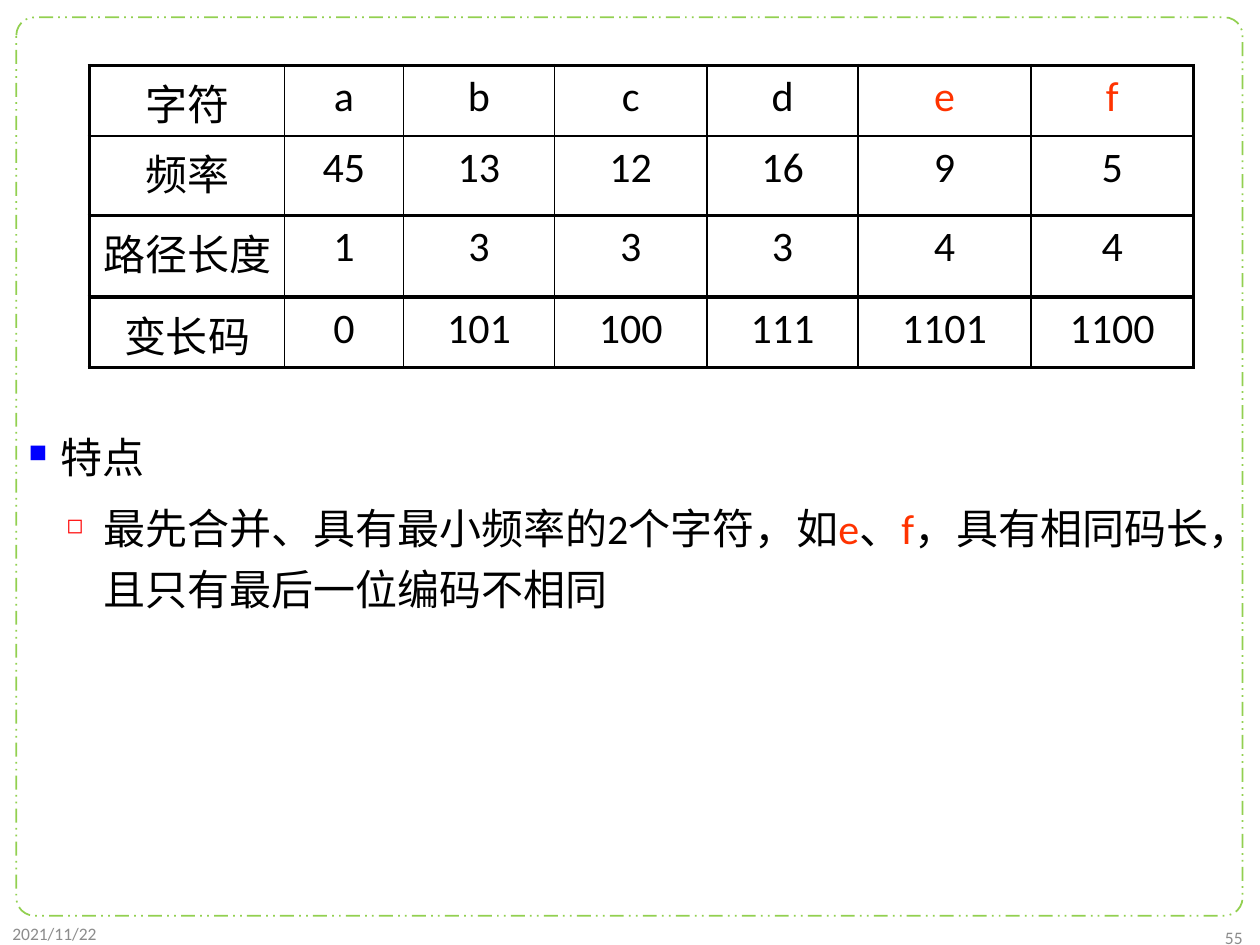
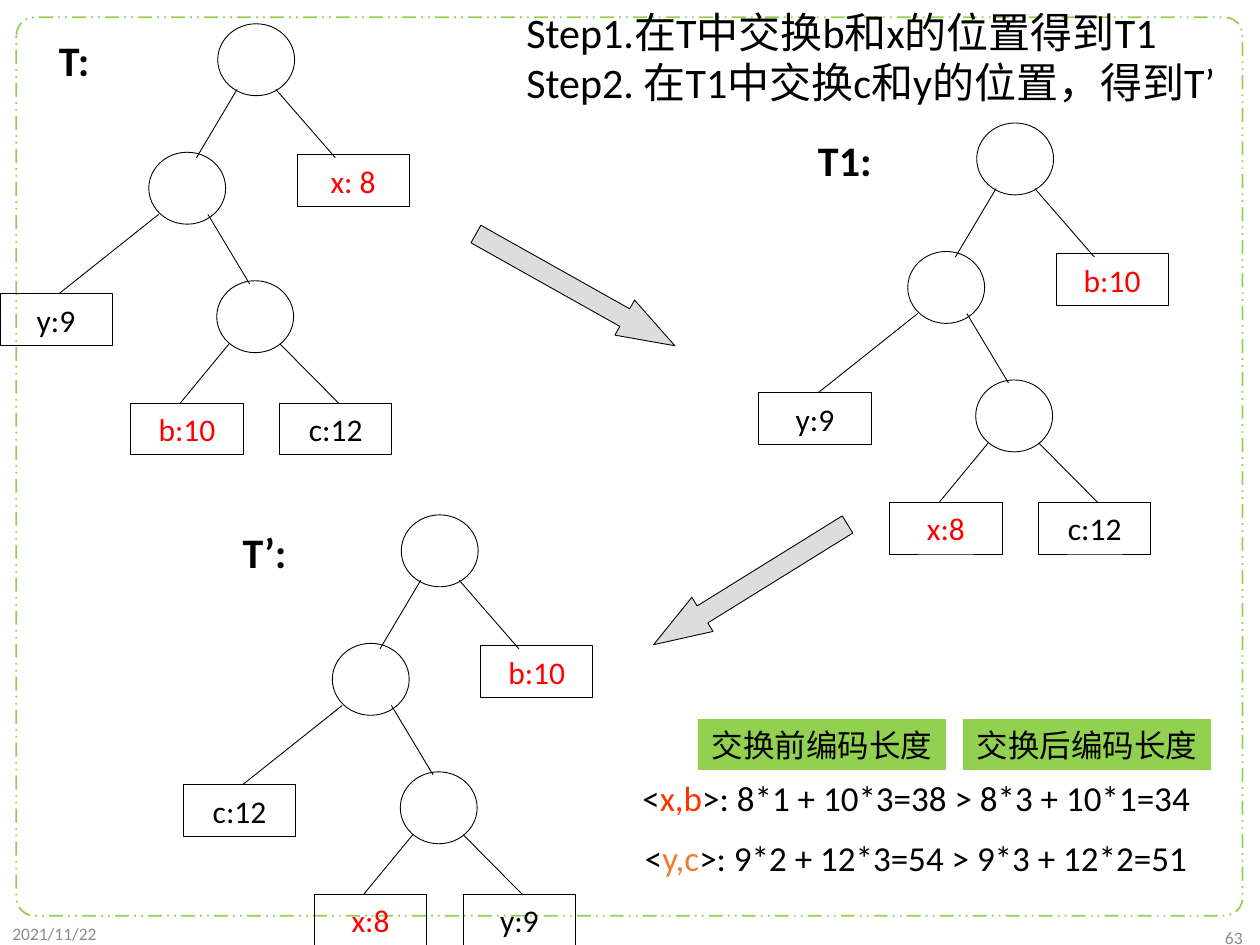
from lxml.etree import SubElement
from pptx import Presentation
from pptx.dml.color import RGBColor
from pptx.enum.dml import MSO_LINE
from pptx.enum.shapes import MSO_CONNECTOR, MSO_SHAPE
from pptx.enum.text import MSO_ANCHOR, PP_ALIGN
from pptx.oxml.ns import qn
from pptx.util import Cm, Pt

COLORS = {
    "text": "000000",
    "line": "000000",
    "green": "92D050",
    "footer": "8C8C8C",
    "accent": "FF3300",
    "leaf": "FF0000",
    "orange": "ED7D31",
    "arrow": "DDDDDD",
    "bullet1": "0000FF",
    "bullet2": "FF0000",
}
LATIN = "Calibri"
CJK = "Noto Sans CJK SC"
DATE = "2021/11/22"

CODE_ROWS = [
    ["字符", "a", "b", "c", "d", "e", "f"],
    ["频率", "45", "13", "12", "16", "9", "5"],
    ["路径长度", "1", "3", "3", "3", "4", "4"],
    ["变长码", "0", "101", "100", "111", "1101", "1100"],
]
COL_WIDTHS = [3.94, 2.39, 3.05, 3.07, 3.05, 3.48, 3.28]
ROW_HEIGHTS = [1.42, 1.6, 1.65, 1.42]
RULE_WIDTHS = [2.25, 1, 2.25, 2.25, 2.25]

TREE_CIRCLES = [(4.39, 0.48), (3, 3.07), (4.37, 5.66)]
TREE_EDGES = [
    (4.78, 1.8, 3.96, 3.18),
    (5.56, 1.8, 6.76, 3.18),
    (3.2, 4.32, 1.19, 5.92),
    (4.19, 4.32, 5.03, 5.72),
    (4.62, 6.93, 3.63, 8.13),
    (5.64, 6.93, 6.83, 8.13),
]
TREE_LEAVES = [
    (5.99, 3.12, "leaf"),
    (0, 5.92, "text"),
    (2.64, 8.13, "leaf"),
    (5.64, 8.13, "text"),
]
TREES = [
    (0, 0, "T:", ["x: 8", "y:9", "b:10", "c:12"]),
    (15.3, 2, "T1:", ["b:10", "y:9", "x:8", "c:12"]),
    (3.7, 9.9, "T’:", ["b:10", "c:12", "x:8", "y:9"]),
]


def rgb(name):
    return RGBColor.from_string(COLORS[name])


def add_run(p, text, size, color="text", bold=False, ea=LATIN):
    r = p.add_run()
    r.text = text
    r.font.size = Pt(size)
    r.font.bold = bold
    r.font.color.rgb = rgb(color)
    r.font.name = LATIN
    SubElement(r._r.get_or_add_rPr(), qn("a:ea"), typeface=ea)


def add_text(s, x, y, w, h, runs, size, wrap=True, bold=False,
             align=PP_ALIGN.LEFT, anchor=MSO_ANCHOR.TOP):
    tf = s.shapes.add_textbox(Cm(x), Cm(y), Cm(w), Cm(h)).text_frame
    tf.word_wrap = wrap
    tf.vertical_anchor = anchor
    p = tf.paragraphs[0]
    p.alignment = align
    for text, color in runs:
        add_run(p, text, size, color, bold)
    return tf


def add_box(s, kind, x, y, w, h, fill=None, line="line", width=0.5):
    sp = s.shapes.add_shape(kind, Cm(x), Cm(y), Cm(w), Cm(h))
    sp.shadow.inherit = False
    if fill:
        sp.fill.solid()
        sp.fill.fore_color.rgb = rgb(fill)
    else:
        sp.fill.background()
    if line:
        sp.line.color.rgb = rgb(line)
        sp.line.width = Pt(width)
    else:
        sp.line.fill.background()
    return sp


def add_label_box(s, x, y, w, h, text, color="text", fill=None, line="line"):
    sp = add_box(s, MSO_SHAPE.RECTANGLE, x, y, w, h, fill, line)
    tf = sp.text_frame
    tf.word_wrap = False
    tf.vertical_anchor = MSO_ANCHOR.MIDDLE
    p = tf.paragraphs[0]
    p.alignment = PP_ALIGN.CENTER
    add_run(p, text, 18, color)


def add_edge(s, x1, y1, x2, y2):
    line = s.shapes.add_connector(MSO_CONNECTOR.STRAIGHT,
                                  Cm(x1), Cm(y1), Cm(x2), Cm(y2))
    line.line.color.rgb = rgb("line")
    line.line.width = Pt(0.5)
    SubElement(line._element.spPr, qn("a:effectLst"))


def add_arrow(s, x, y, angle):
    sp = add_box(s, MSO_SHAPE.RIGHT_ARROW, x, y, 4.6, 0.81, "arrow")
    sp.adjustments[0] = 0.5
    sp.adjustments[1] = 1.43
    sp.rotation = angle


def add_tree(s, dx, dy, name, labels):
    for x, y in TREE_CIRCLES:
        add_box(s, MSO_SHAPE.OVAL, x + dx, y + dy, 1.55, 1.45)
    for x1, y1, x2, y2 in TREE_EDGES:
        add_edge(s, x1 + dx, y1 + dy, x2 + dx, y2 + dy)
    for (x, y, color), label in zip(TREE_LEAVES, labels):
        add_label_box(s, x + dx, y + dy, 2.26, 1.04, label, color)
    add_text(s, 0.94 + dx, 0.58 + dy, 1.8, 1.3, [(name, "text")], 24, bold=True)


def set_bullet(p, char, color, percent, margin, indent):
    pPr = p._p.get_or_add_pPr()
    pPr.set("marL", str(Cm(margin)))
    pPr.set("indent", str(Cm(-indent)))
    clr = SubElement(pPr, qn("a:buClr"))
    SubElement(clr, qn("a:srgbClr"), val=COLORS[color])
    SubElement(pPr, qn("a:buSzPct"), val=str(percent * 1000))
    SubElement(pPr, qn("a:buChar"), char=char)


def set_border(cell, side, width):
    ln = SubElement(cell._tc.get_or_add_tcPr(), qn("a:" + side), w=str(Pt(width)))
    fill = SubElement(ln, qn("a:solidFill"))
    SubElement(fill, qn("a:srgbClr"), val=COLORS["line"])


def add_code_table(s):
    rows, cols = len(CODE_ROWS), len(COL_WIDTHS)
    table = s.shapes.add_table(rows, cols, Cm(1.8), Cm(1.32),
                               Cm(sum(COL_WIDTHS)), Cm(sum(ROW_HEIGHTS))).table
    table.first_row = False
    table.horz_banding = False
    for col, width in zip(table.columns, COL_WIDTHS):
        col.width = Cm(width)
    for row, height in zip(table.rows, ROW_HEIGHTS):
        row.height = Cm(height)
    for i, texts in enumerate(CODE_ROWS):
        for j, text in enumerate(texts):
            cell = table.cell(i, j)
            set_border(cell, "lnL", 2.25 if j == 0 else 1)
            set_border(cell, "lnR", 2.25 if j == cols - 1 else 1)
            set_border(cell, "lnT", RULE_WIDTHS[i])
            set_border(cell, "lnB", RULE_WIDTHS[i + 1])
            cell.fill.background()
            p = cell.text_frame.paragraphs[0]
            p.alignment = PP_ALIGN.CENTER
            add_run(p, text, 24, "accent" if text in ("e", "f") else "text", ea=CJK)


def add_features(s):
    tf = add_text(s, 0.33, 8.58, 24.5, 4.5, [("特点", "text")], 24)
    set_bullet(tf.paragraphs[0], "■", "bullet1", 60, 0.64, 0.64)
    p = tf.add_paragraph()
    p.level = 1
    p.line_spacing = 1.2
    p.space_before = Pt(6)
    set_bullet(p, "◻", "bullet2", 50, 1.5, 0.74)
    for text, color in [
        ("最先合并、具有最小频率的2个字符，如", "text"),
        ("e", "accent"),
        ("、", "text"),
        ("f", "accent"),
        ("，具有相同码长，且只有最后一位编码不相同", "text"),
    ]:
        add_run(p, text, 24, color)


def add_slide(prs, number):
    s = prs.slides.add_slide(prs.slide_layouts[6])
    frame = add_box(s, MSO_SHAPE.ROUNDED_RECTANGLE, 0.33, 0.35, 24.72, 18.11,
                    line="green", width=1)
    frame.adjustments[0] = 0.02
    frame.line.dash_style = MSO_LINE.DASH_DOT_DOT
    add_text(s, 0, 18.44, 5.72, 0.74, [(DATE, "footer")], 10,
             anchor=MSO_ANCHOR.MIDDLE)
    add_text(s, 19.58, 18.57, 5.72, 0.66, [(number, "footer")], 10,
             align=PP_ALIGN.RIGHT, anchor=MSO_ANCHOR.MIDDLE)
    return s


def build_code_slide(prs):
    s = add_slide(prs, "55")
    add_code_table(s)
    add_features(s)


def build_swap_slide(prs):
    s = add_slide(prs, "63")
    tf = add_text(s, 10.36, 0, 14.95, 2.31,
                  [("Step1.在T中交换b和x的位置得到T1", "text")], 24)
    add_run(tf.add_paragraph(), "Step2. 在T1中交换c和y的位置，得到T’", 24)
    for tree in TREES:
        add_tree(s, *tree)
    for x, y, pair, color, sums in [
        (12.7, 15.52, "x,b", "accent", ">: 8*1 + 10*3=38 > 8*3 + 10*1=34"),
        (12.75, 16.74, "y,c", "orange", ">: 9*2 + 12*3=54 > 9*3 + 12*2=51"),
    ]:
        add_text(s, x, y, 11.66, 1.12,
                 [("<", "text"), (pair, color), (sums, "text")], 20, wrap=False)
    for x, text in [(14.07, "交换前编码长度"), (19.41, "交换后编码长度")]:
        add_label_box(s, x, 14.5, 5, 1.02, text, fill="green", line=None)
    add_arrow(s, 9.3, 5.44, 29.3)
    add_arrow(s, 12.83, 11.38, 148.2)


def main():
    prs = Presentation()
    prs.slide_width = Cm(25.4)
    prs.slide_height = Cm(19.05)
    build_code_slide(prs)
    build_swap_slide(prs)
    prs.save("out.pptx")


if __name__ == "__main__":
    main()
